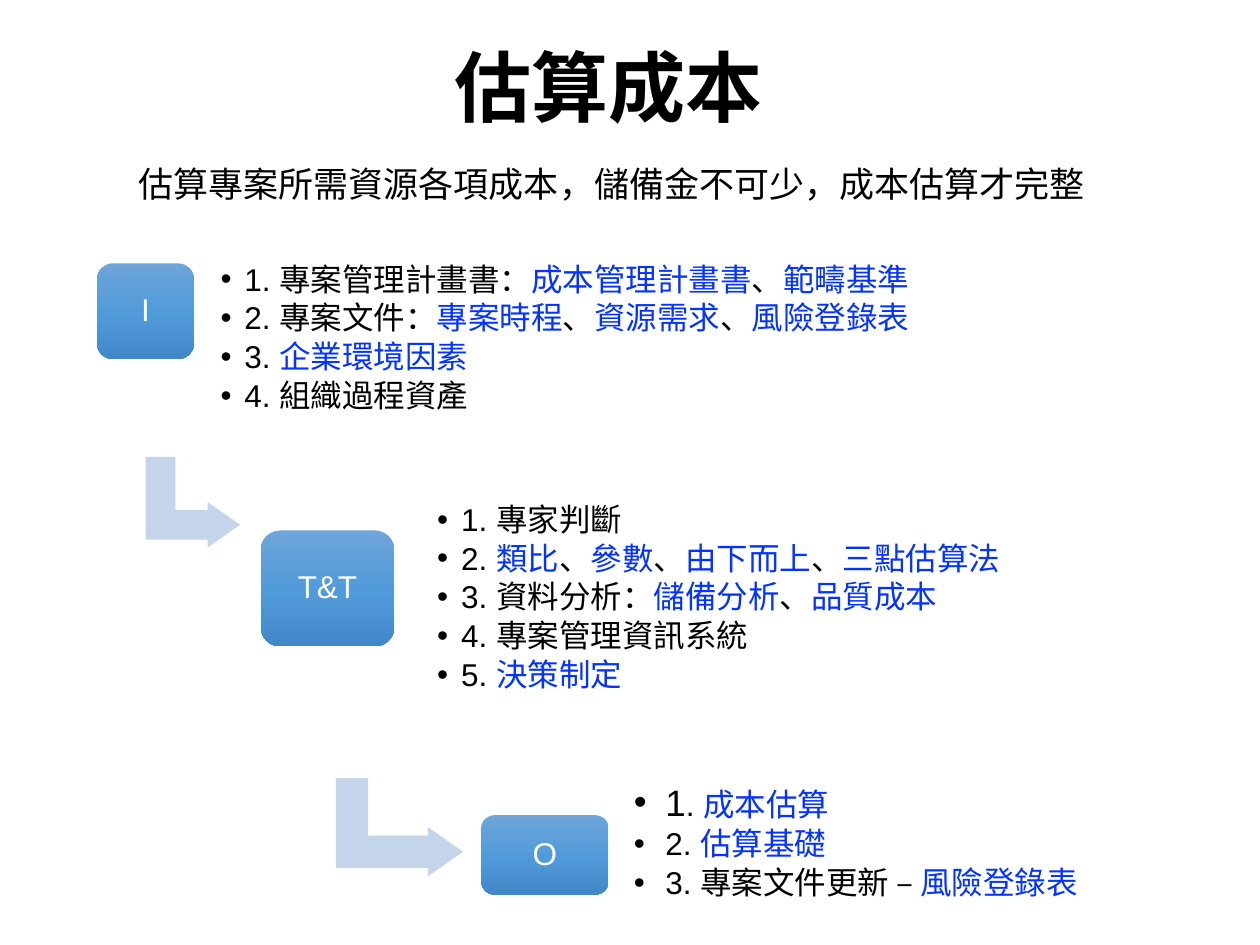
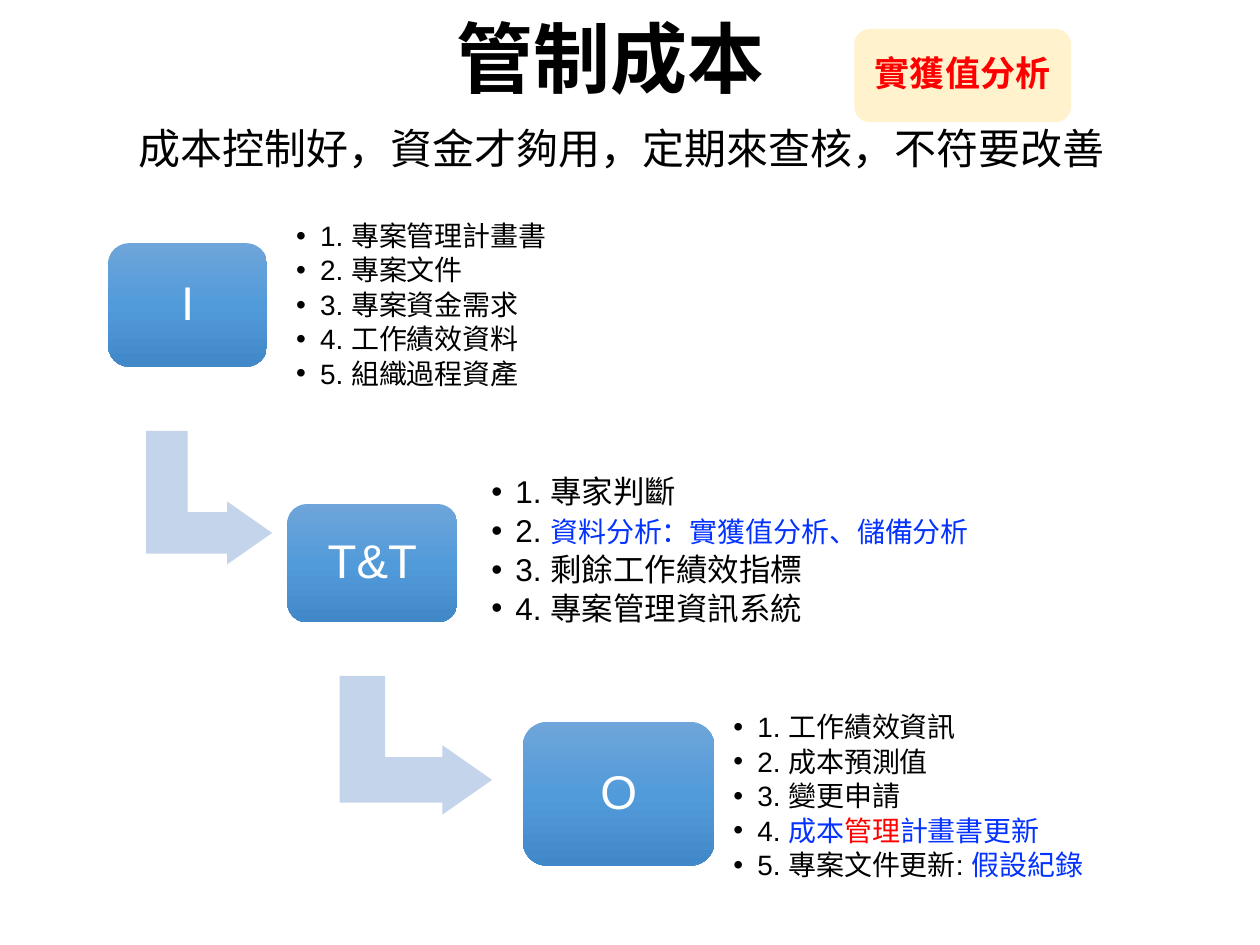
from copy import deepcopy
from pptx import Presentation
from pptx.dml.color import RGBColor
from pptx.enum.shapes import MSO_SHAPE
from pptx.enum.text import MSO_ANCHOR, MSO_AUTO_SIZE, PP_ALIGN
from pptx.oxml.ns import qn
from pptx.util import Inches, Pt
from lxml.etree import SubElement

# Shared look
BLACK, WHITE, BLUE, RED = "000000", "FFFFFF", "0432FF", "FF0000"
PALE, CREAM = "C3D4EB", "FFF2CC"
GLOSS = [("6EA5DA", 0), ("529BDA", 0.5), ("4188C8", 1)]
# First letter of a text piece -> colour and change of size
MARKS = {"*": (BLUE, 0), "!": (RED, 0), "~": (BLUE, -2), "^": (BLACK, 3)}
CELL = Inches(0.1)  # grid of 100 columns by 75 rows


def rgb(code):
    return RGBColor.from_string(code)


def write(shape, lines, size, color=BLACK, bold=False, align=PP_ALIGN.LEFT,
          pad=(0.7, 0.7), anchor=MSO_ANCHOR.MIDDLE, hang=0):
    """Fill a shape with lines; a bar splits a line into marked pieces."""
    frame = shape.text_frame
    look = {"word_wrap": True, "auto_size": MSO_AUTO_SIZE.NONE,
            "vertical_anchor": anchor,
            "margin_left": int(pad[0] * CELL), "margin_right": int(pad[0] * CELL),
            "margin_top": int(pad[1] * CELL), "margin_bottom": int(pad[1] * CELL)}
    for name, value in look.items():
        setattr(frame, name, value)
    for n, line in enumerate(lines):
        para = frame.add_paragraph() if n else frame.paragraphs[0]
        if hang:
            props = para._p.get_or_add_pPr()
            props.set("marL", str(int(hang * CELL)))
            props.set("indent", str(-int(hang * CELL)))
            tint = SubElement(props, qn("a:buClr"))
            SubElement(tint, qn("a:srgbClr"), val=BLACK)
            SubElement(props, qn("a:buFont"), typeface="Arial")
            SubElement(props, qn("a:buChar"), char="•")
        para.alignment = align
        para.line_spacing = 0.9
        para.space_before = Pt(round(0.15 * size, 1) if n else 0)
        for piece in line.split("|"):
            ink, step = MARKS.get(piece[0], (color, 0))
            run = para.add_run()
            run.text = piece[1:] if piece[0] in MARKS else piece
            font = {"name": "Arial", "size": Pt(size + step), "bold": bold}
            for name, value in font.items():
                setattr(run.font, name, value)
            run.font.color.rgb = rgb(ink)


# Content: places are left, top, width, height in grid cells
PAGES = [
    {"title": "估算成本", "head": (5.2, 0, 86.2, 14.5),
     "motto": "估算專案所需資源各項成本，儲備金不可少，成本估算才完整",
     "band": (10, 12.8, 90, 4.4), "size": 20, "label": 18,
     "arrows": [(11.7, 36.1, 7.2, 7.5), (27.8, 60.6, 7.8, 10.1)],
     "steps": [
         ("I", (7.7, 20.9, 7.7, 7.6), (16.8, 20, 56.2, 13.8), 18, 0.7, 1.9, [
             "1. 專案管理計畫書：|*成本管理計畫書|、|*範疇基準",
             "2. 專案文件：|*專案時程|、|*資源需求|、|*風險登錄表",
             "3. |*企業環境因素",
             "4. 組織過程資產"]),
         ("T&T", (20.7, 42.1, 10.6, 9.2), (34, 38.9, 55.9, 17.2), 18, 0.7, 1.9, [
             "1. 專家判斷",
             "2. |*類比|、|*參數|、|*由下而上|、|*三點估算法",
             "3. 資料分析：|*儲備分析|、|*品質成本",
             "4. 專案管理資訊系統",
             "5. |*決策制定"]),
         ("O", (38.2, 64.7, 10.1, 6.3), (49.4, 61.2, 38.8, 11.4), 18, 0.9, 2.5, [
             "^1|. |*成本估算",
             "2. |*估算基礎",
             "3. 專案文件更新 – |*風險登錄表"])]},
    {"title": "管制成本", "head": (8.6, -3.2, 79.7, 16.4),
     "motto": "成本控制好，資金才夠用，定期來查核，不符要改善",
     "band": (10, 9.7, 90, 5.8), "size": 24, "label": 27,
     "arrows": [(11.3, 34.5, 10.6, 10), (27.5, 53.1, 11, 12.1)],
     "badge": ("實獲值分析", (67.8, 2.3, 17.2, 7.4)),
     "steps": [
         ("I", (8.6, 19.3, 12.6, 9.8), (22.8, 16.5, 28.1, 15.6), 16, 0.7, 1.9, [
             "1. 專案管理計畫書",
             "2. 專案文件",
             "3. 專案資金需求",
             "4. 工作績效資料",
             "5. 組織過程資產"]),
         ("T&T", (22.8, 40, 13.5, 9.4), (38.3, 36, 52.5, 15.6), 18, 0.7, 1.9, [
             "1. 專家判斷",
             "2. |~資料分析：實獲值分析、儲備分析",
             "3. 剩餘工作績效指標",
             "4. 專案管理資訊系統"]),
         ("O", (41.5, 57.3, 15.2, 11.4), (57.5, 55.5, 38.2, 15.6), 16, 0.7, 1.9, [
             "1. 工作績效資訊",
             "2. 成本預測值",
             "3. 變更申請",
             "4. |*成本|!管理|*計畫書更新",
             "5. 專案文件更新: |*假設紀錄"])]},
]

deck = Presentation()
deck.slide_width, deck.slide_height = 100 * CELL, 75 * CELL

for page in PAGES:
    slide = deck.slides.add_slide(deck.slide_layouts[5])
    shapes = slide.shapes

    # Title and motto
    title = shapes.title
    for side, cells in zip(("left", "top", "width", "height"), page["head"]):
        setattr(title, side, int(cells * CELL))
    write(title, [page["title"]], 44, bold=True, align=PP_ALIGN.CENTER, pad=(1, 0.5))
    motto = shapes.add_textbox(*[int(c * CELL) for c in page["band"]])
    write(motto, [page["motto"]], page["size"], pad=(1, 0.5), anchor=MSO_ANCHOR.TOP)

    # Bent arrows between the steps
    for place in page["arrows"]:
        arrow = shapes.add_shape(MSO_SHAPE.BENT_UP_ARROW, *[int(c * CELL) for c in place])
        arrow.rotation = 90
        for n, share in enumerate((0.328, 0.25, 0.358)):
            arrow.adjustments[n] = share
        arrow.shadow.inherit = False
        arrow.fill.solid()
        arrow.fill.fore_color.rgb = rgb(PALE)
        arrow.line.fill.background()

    # Steps: glossy box and its list
    for label, place, area, size, pad, hang, lines in page["steps"]:
        box = shapes.add_shape(MSO_SHAPE.ROUNDED_RECTANGLE, *[int(c * CELL) for c in place])
        box.shadow.inherit = False
        box.line.fill.background()
        box.fill.gradient()
        box.fill.gradient_angle = 270
        stops = box._element.spPr.find(qn("a:gradFill")).find(qn("a:gsLst"))
        stops.append(deepcopy(stops[0]))
        for stop, (code, spot) in zip(box.fill.gradient_stops, GLOSS):
            stop.color.rgb = rgb(code)
            stop.position = spot
        write(box, [label], page["label"], WHITE, align=PP_ALIGN.CENTER)
        notes = shapes.add_textbox(*[int(c * CELL) for c in area])
        write(notes, lines, size, pad=(pad, pad), hang=hang)

    # Badge
    if "badge" in page:
        word, place = page["badge"]
        badge = shapes.add_shape(MSO_SHAPE.ROUNDED_RECTANGLE, *[int(c * CELL) for c in place])
        badge.shadow.inherit = False
        badge.fill.solid()
        badge.fill.fore_color.rgb = rgb(CREAM)
        badge.line.fill.background()
        write(badge, [word], 20, RED, bold=True, align=PP_ALIGN.CENTER, pad=(0.5, 0.5))

deck.save("out.pptx")
